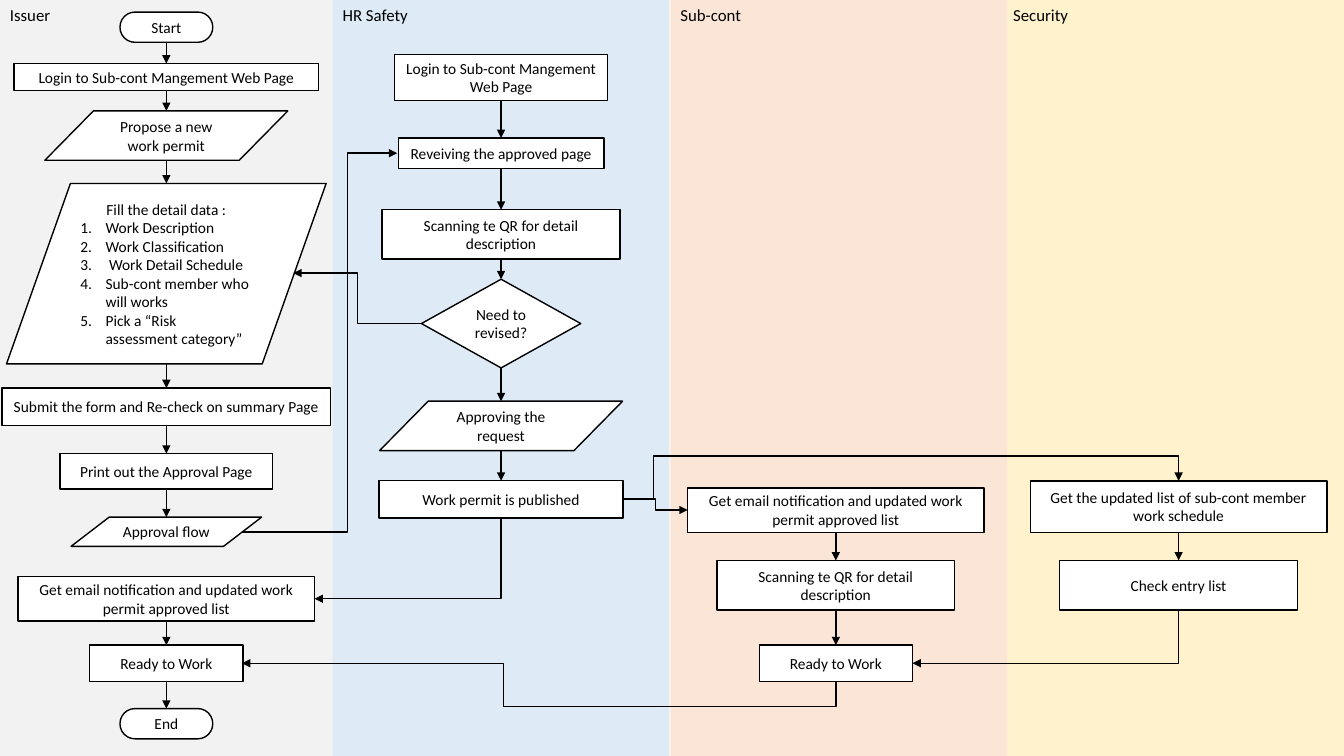
from itertools import pairwise

from lxml.etree import SubElement
from pptx import Presentation
from pptx.dml.color import RGBColor
from pptx.enum.shapes import MSO_CONNECTOR as LINK, MSO_SHAPE as SHAPE
from pptx.enum.text import MSO_ANCHOR as ANCHOR, MSO_AUTO_SIZE as FIT, PP_ALIGN as ALIGN
from pptx.oxml.ns import qn
from pptx.util import Inches, Pt

BLACK = RGBColor(0x00, 0x00, 0x00)
WHITE = RGBColor(0xFF, 0xFF, 0xFF)
GREY = RGBColor(0xF2, 0xF2, 0xF2)
BLUE = RGBColor(0xDE, 0xEB, 0xF7)
ORANGE = RGBColor(0xFB, 0xE5, 0xD6)
YELLOW = RGBColor(0xFF, 0xF2, 0xCC)

PROCESS = SHAPE.FLOWCHART_PROCESS
DATA = SHAPE.FLOWCHART_DATA
TERMINATOR = SHAPE.FLOWCHART_TERMINATOR
DECISION = SHAPE.FLOWCHART_DECISION


def write(para, text, size=11, font="Calibri", color=BLACK, align=ALIGN.CENTER, numbered=False):
    """Fill a paragraph with one formatted span, numbered on request."""
    para.alignment = align
    span = para.add_run()
    span.text = text
    span.font.size = Pt(size)
    span.font.name = font
    span.font.color.rgb = color
    if numbered:
        properties = para._p.get_or_add_pPr()
        properties.set("marL", str(Inches(0.25)))
        properties.set("indent", str(Inches(-0.25)))
        SubElement(properties, qn("a:buFont"), typeface="+mj-lt")
        SubElement(properties, qn("a:buAutoNum"), type="arabicPeriod")


class Flowchart:
    """Draws swimlanes, steps and arrows on one page."""

    def __init__(self, page, line_width=1):
        self.page = page
        self.line_width = Pt(line_width)

    def shape(self, kind, left, top, width, height, fill):
        shape = self.page.shapes.add_shape(
            kind, Inches(left), Inches(top), Inches(width), Inches(height))
        shape.shadow.inherit = False
        shape.fill.solid()
        shape.fill.fore_color.rgb = fill
        shape.line.fill.background()
        return shape

    def lane(self, left, color):
        self.shape(SHAPE.RECTANGLE, left, 0, 3.34, 7.5, color)

    def label(self, left, width, text):
        box = self.page.shapes.add_textbox(Inches(left), 0, Inches(width), Inches(0.3))
        box.text_frame.word_wrap = False
        box.text_frame.auto_size = FIT.SHAPE_TO_FIT_TEXT
        write(box.text_frame.paragraphs[0], text, size=12, align=ALIGN.LEFT)

    def step(self, center, kind, top, width, height, text, items=()):
        box = self.shape(kind, center - width / 2, top, width, height, WHITE)
        box.line.color.rgb = BLACK
        box.line.width = self.line_width
        frame = box.text_frame
        frame.word_wrap = True
        frame.vertical_anchor = ANCHOR.MIDDLE
        write(frame.paragraphs[0], text)
        for item in items:
            write(frame.add_paragraph(), item, align=ALIGN.LEFT, numbered=True)

    def arrow(self, start, end, kind=LINK.STRAIGHT):
        link = self.page.shapes.add_connector(kind, *map(Inches, (*start, *end)))
        link.line.color.rgb = BLACK
        link.line.width = self.line_width
        SubElement(link.line._get_or_add_ln(), qn("a:tailEnd"), type="triangle")
        SubElement(link._element.spPr, qn("a:effectLst"))
        return link

    def elbow(self, start, end, preset="bentConnector3", adjust=(), downward=False):
        """Bent arrow; one that leaves vertically is a frame turned by 90 degrees."""
        (x1, y1), (x2, y2) = start, end
        if downward:
            middle_x, middle_y = (x1 + x2) / 2, (y1 + y2) / 2
            half_width, half_height = (y2 - y1) / 2, (x1 - x2) / 2
            start = middle_x - half_width, middle_y - half_height
            end = middle_x + half_width, middle_y + half_height
        properties = self.arrow(start, end, LINK.ELBOW)._element.spPr
        if downward:
            properties.find(qn("a:xfrm")).set("rot", str(90 * 60000))
        geometry = properties.find(qn("a:prstGeom"))
        geometry.set("prst", preset)
        guides = geometry.find(qn("a:avLst"))
        for number, share in enumerate(adjust, 1):
            SubElement(guides, qn("a:gd"), name=f"adj{number}", fmla=f"val {round(share * 100000)}")

    def chain(self, center, steps):
        """Steps down one lane, each joined to the next."""
        for step in steps:
            self.step(center, *step)
        for (_, top, _, height, *_), (_, next_top, *_) in pairwise(steps):
            self.arrow((center, top + height), (center, next_top))


LANES = [
    (0, GREY, 0, 0.61, "Issuer"),
    (3.3, BLUE, 3.3, 0.86, "HR Safety"),
    (6.65, ORANGE, 6.65, 0.81, "Sub-cont"),
    (9.99, YELLOW, 9.95, 0.75, "Security"),
]
ISSUER, SAFETY, SUBCONT, SECURITY = 1.65, 4.97, 8.29, 11.69

LOGIN = "Login to Sub-cont Mangement Web Page"
NOTICE = "Get email notification and updated work permit approved list"
SCAN = "Scanning te QR for detail description"
READY = (PROCESS, 6.4, 1.52, 0.36, "Ready to Work")
DETAILS = ["Work Description", "Work Classification", " Work Detail Schedule",
           "Sub-cont member who will works", "Pick a “Risk assessment category”"]

# Lane centre and its steps: kind, top, width, height, text
CHAINS = [
    (ISSUER, [
        (TERMINATOR, 0.12, 0.92, 0.3, "Start"),
        (PROCESS, 0.63, 3.02, 0.27, LOGIN),
        (DATA, 1.1, 2.41, 0.49, "Propose a new work permit"),
        (DATA, 1.82, 3.17, 1.79, "Fill the detail data :", DETAILS),
        (PROCESS, 3.85, 3.26, 0.37, "Submit the form and Re-check on summary Page"),
        (PROCESS, 4.5, 2.11, 0.35, "Print out the Approval Page"),
        (DATA, 5.13, 1.89, 0.29, "Approval flow"),
    ]),
    (ISSUER, [
        (PROCESS, 5.72, 2.94, 0.44, NOTICE),
        READY,
        (TERMINATOR, 7.03, 0.92, 0.3, "End"),
    ]),
    (SAFETY, [
        (PROCESS, 0.54, 2.11, 0.46, LOGIN),
        (PROCESS, 1.37, 2.04, 0.3, "Reveiving the approved page"),
        (PROCESS, 2.08, 2.36, 0.49, SCAN),
        (DECISION, 2.77, 1.58, 0.88, "Need to revised?"),
        (DATA, 3.98, 2.41, 0.49, "Approving the request"),
        (PROCESS, 4.77, 2.42, 0.37, "Work permit is published"),
    ]),
    (SUBCONT, [
        (PROCESS, 4.84, 2.94, 0.44, NOTICE),
        (PROCESS, 5.56, 2.36, 0.49, SCAN),
        READY,
    ]),
    (SECURITY, [
        (PROCESS, 4.77, 2.94, 0.51, "Get the updated list of sub-cont member work schedule"),
        (PROCESS, 5.56, 2.36, 0.49, "Check entry list"),
    ]),
]


def main():
    deck = Presentation()
    deck.slide_width, deck.slide_height = Inches(13.33), Inches(7.5)
    chart = Flowchart(deck.slides.add_slide(deck.slide_layouts[6]))

    # Swimlanes and their headings
    for left, color, *_ in LANES:
        chart.lane(left, color)
    for _, _, left, width, name in LANES:
        chart.label(left, width, name)

    # Steps within each lane
    for center, steps in CHAINS:
        chart.chain(center, steps)

    # Arrows between lanes
    chart.elbow((4.18, 3.21), (2.91, 2.71))
    chart.elbow((SAFETY, 5.14), (3.12, 5.94), "bentConnector2", downward=True)
    chart.elbow((2.4, 5.28), (3.94, 1.52), adjust=[0.68])
    chart.elbow((6.18, 4.95), (6.82, 5.06))
    chart.elbow((6.21, 4.95), (SECURITY, 4.77), "bentConnector4", [0.05, 2.36])
    chart.elbow((SUBCONT, 6.76), (2.4, 6.58), "bentConnector4", [-1.39, 0.56], downward=True)
    chart.elbow((SECURITY, 6.05), (9.05, 6.58), "bentConnector2", downward=True)

    deck.save("out.pptx")


if __name__ == "__main__":
    main()
